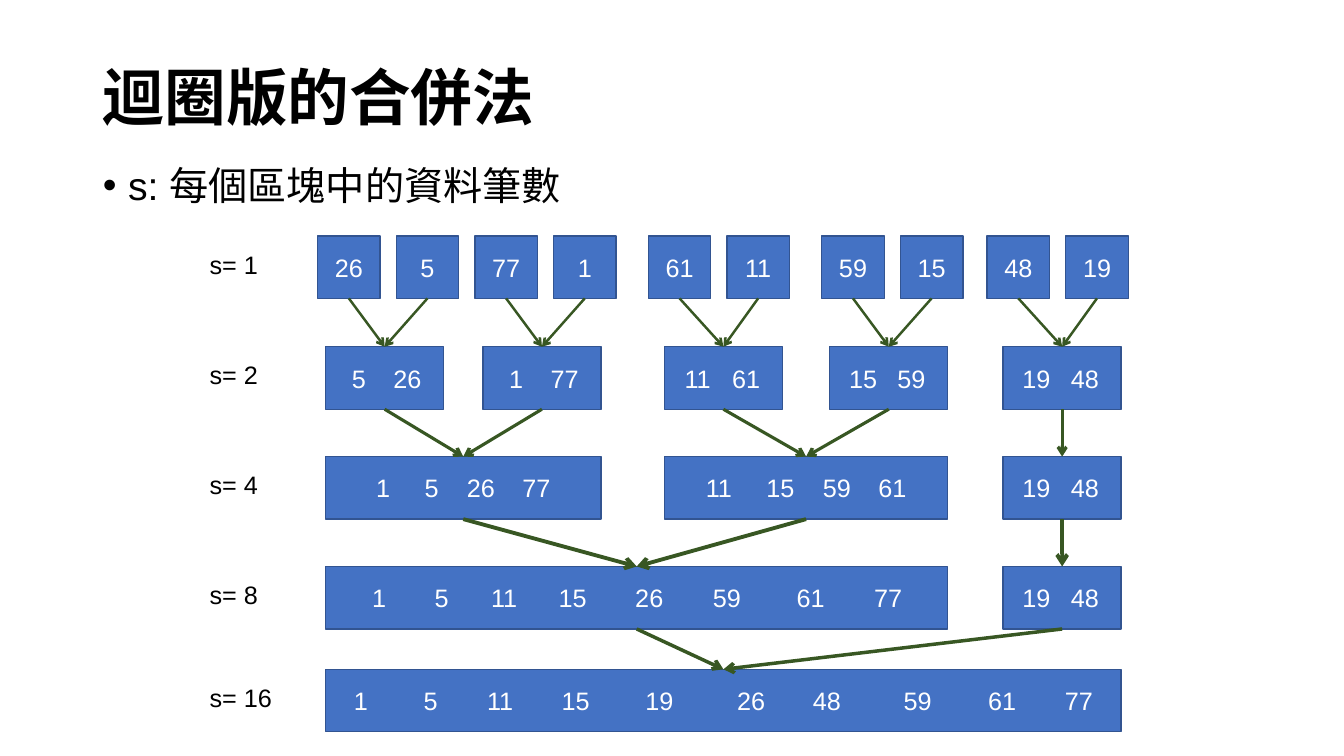
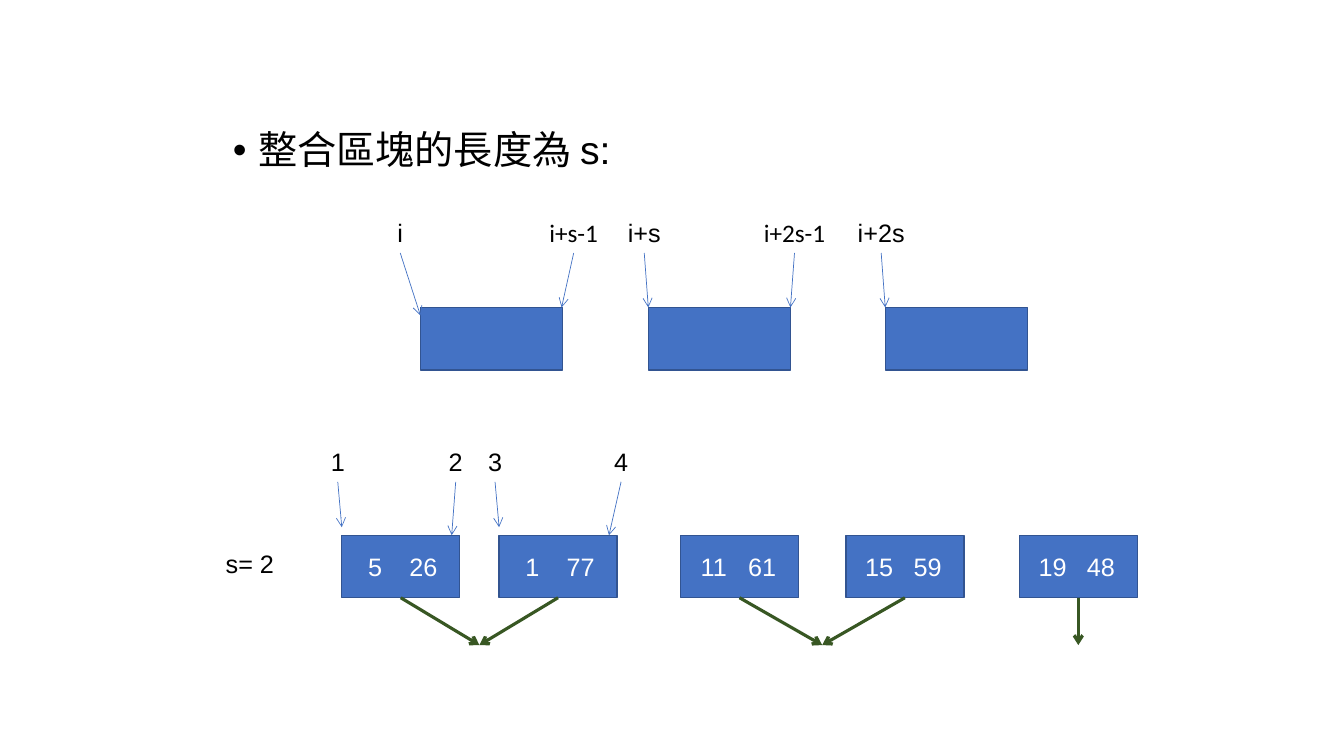
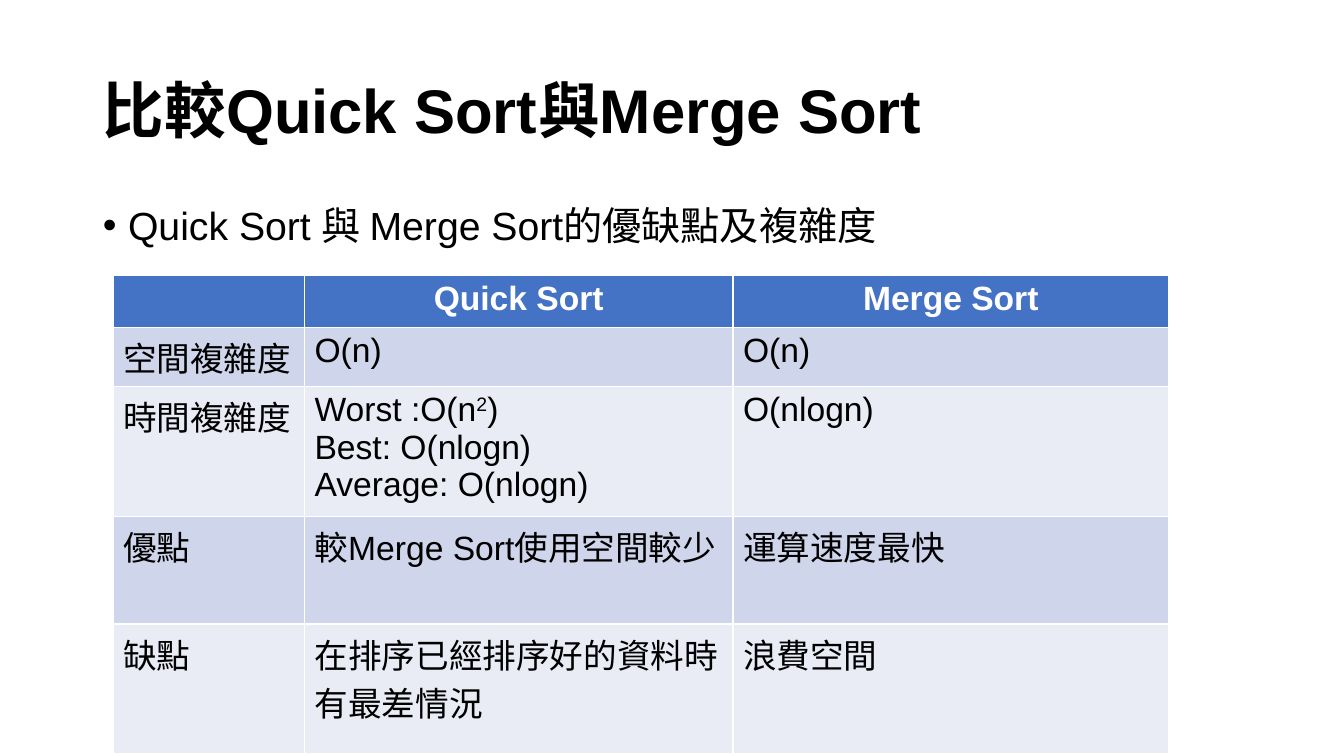
from dataclasses import dataclass

from lxml.etree import SubElement
from pptx import Presentation
from pptx.dml.color import RGBColor
from pptx.enum.shapes import MSO_CONNECTOR, MSO_SHAPE
from pptx.enum.text import MSO_ANCHOR, MSO_AUTO_SIZE, PP_ALIGN
from pptx.oxml.ns import qn
from pptx.util import Inches, Pt


@dataclass(frozen=True)
class Theme:
    block: str = "4472C4"
    block_edge: str = "325491"
    merge_arrow: str = "385723"
    band_dark: str = "CFD5EA"
    band_light: str = "E9EBF5"
    ink: str = "000000"
    paper: str = "FFFFFF"
    font: str = "Arial"
    narrow_font: str = "Calibri"
    title_size: float = 44
    body_size: float = 28
    table_size: float = 24
    label_size: float = 18


THEME = Theme()
SLIDE_WIDTH, SLIDE_HEIGHT = 13.33, 7.5
MARGIN, CONTENT_WIDTH = 0.92, 11.5
BLOCK_HEIGHT, LABEL_HEIGHT = 0.62, 0.4
UNIT, PAIR = 0.62, 1.17
UNIT_STEP = 0.78
LABEL_LEFT, LABEL_DROP = 1.98, 0.08
PAIR_CENTRES = (0.33, 0.81)

LOOP_TITLE = "迴圈版的合併法"
LOOP_BODY = "s: 每個區塊中的資料筆數"
UNIT_GROUPS = [
    (3.15, ["26", "5", "77", "1"]),
    (6.43, ["61", "11"]),
    (8.15, ["59", "15"]),
    (9.79, ["48", "19"]),
]
UNITS = [
    (left + index * UNIT_STEP, UNIT, [number], (), ())
    for left, numbers in UNIT_GROUPS
    for index, number in enumerate(numbers)
]
LAST_PAIR = (9.95, PAIR, ["19", "48"], PAIR_CENTRES)
PAIRS = [
    (3.23, PAIR, ["5", "26"], PAIR_CENTRES, (0, 1)),
    (4.79, PAIR, ["1", "77"], PAIR_CENTRES, (2, 3)),
    (6.59, PAIR, ["11", "61"], PAIR_CENTRES, (4, 5)),
    (8.23, PAIR, ["15", "59"], PAIR_CENTRES, (6, 7)),
    (*LAST_PAIR, (8, 9)),
]
FOURS = [
    (3.23, 2.73, ["1", "5", "26", "77"], (0.57, 1.05, 1.54, 2.09), (0, 1)),
    (6.59, 2.81, ["11", "15", "59", "61"], (0.54, 1.15, 1.71, 2.26), (2, 3)),
    (*LAST_PAIR, (4,)),
]
EIGHTS = [
    (3.23, 6.17, ["1", "5", "11", "15", "26", "59", "61", "77"],
     (0.53, 1.15, 1.77, 2.45, 3.21, 3.98, 4.81, 5.58), (0, 1)),
    (*LAST_PAIR, (2,)),
]
SORTED = [
    (3.23, 7.89, ["1", "5", "11", "15", "19", "26", "48", "59", "61", "77"],
     (0.35, 1.04, 1.73, 2.48, 3.31, 4.22, 4.97, 5.87, 6.71, 7.47), (0, 1)),
]
LEVELS = [
    ("s= 1", 0.78, 2.34, UNITS, 0),
    ("s= 2", 0.78, 3.44, PAIRS, 1.75),
    ("s= 4", 0.78, 4.53, FOURS, 2.25),
    ("s= 8", 0.78, 5.62, EIGHTS, 2.75),
    ("s= 16", 0.86, 6.64, SORTED, 2.5),
]

RANGE_BODY = "整合區塊的長度為 s:"
RANGE_LEFTS, RANGE_WIDTH, RANGE_TOP = (4.17, 6.43, 8.78), 1.41, 3.05
PAIR_TOP, PAIR_SHIFT, MERGE_GAP = 5.31, 0.16, 0.47
POINTERS = [
    (2.11, [
        ("i", 3.97, 0.55, THEME.font, 4.17, 3.13),
        ("i+s-1", 5.69, 1.02, THEME.narrow_font, 5.57, 3.05),
        ("i+s", 6.39, 0.7, THEME.font, 6.43, 3.05),
        ("i+2s-1", 7.88, 1.02, THEME.narrow_font, 7.84, 3.05),
        ("i+2s", 8.74, 1.02, THEME.font, 8.78, 3.05),
    ]),
    (4.38, [
        ("1", 3.35, 0.55, THEME.font, 3.39, 5.23),
        ("2", 4.52, 0.55, THEME.font, 4.48, 5.31),
        ("3", 4.91, 0.55, THEME.font, 4.95, 5.23),
        ("4", 6.16, 0.55, THEME.font, 6.04, 5.31),
    ]),
]

COMPARE_TITLE = "比較Quick Sort與Merge Sort"
COMPARE_BODY = "Quick Sort 與 Merge Sort的優缺點及複雜度"
COMPARE_ROWS = [
    ("", "Quick Sort", "Merge Sort"),
    ("空間複雜度", "O(n)", "O(n)"),
    ("時間複雜度", "Worst :O(n^2^)\nBest: O(nlogn)\nAverage: O(nlogn)", "O(nlogn)"),
    ("優點", "較Merge Sort使用空間較少", "運算速度最快"),
    ("缺點", "在排序已經排序好的資料時有最差情況", "浪費空間"),
]
COLUMN_WIDTHS = (1.9, 4.25, 4.32)
ROW_HEIGHTS = (0.52, 0.55, 1.29, 0.52, 1.29)


def color(value):
    return RGBColor.from_string(value)


def apply(target, values):
    for name, value in values.items():
        setattr(target, name, value)


def box(left, top, width, height):
    return [Inches(length) for length in (left, top, width, height)]


def write(paragraph, text, size, ink=THEME.ink, font=THEME.font, bold=False):
    for index, part in enumerate(text.split("^")):
        run = paragraph.add_run()
        run.text = part
        apply(run.font, {"name": font, "size": Pt(size), "bold": bold})
        run.font.color.rgb = color(ink)
        if index % 2:
            run.font._element.set("baseline", "30000")


def fill_placeholder(shape, place, text, size, is_title):
    names = ("left", "top", "width", "height")
    apply(shape, dict(zip(names, box(*place))))
    frame = shape.text_frame
    apply(frame, {
        "auto_size": MSO_AUTO_SIZE.NONE,
        "word_wrap": True,
        "vertical_anchor": MSO_ANCHOR.MIDDLE if is_title else MSO_ANCHOR.TOP,
    })
    paragraph = frame.paragraphs[0]
    apply(paragraph, {
        "alignment": PP_ALIGN.LEFT,
        "line_spacing": 0.9,
        "space_before": Pt(0 if is_title else 10),
    })
    if not is_title:
        properties = paragraph._p.get_or_add_pPr()
        properties.set("marL", str(Inches(0.25)))
        properties.set("indent", str(-Inches(0.25)))
        SubElement(properties, qn("a:buFont")).set("typeface", THEME.font)
        SubElement(properties, qn("a:buChar")).set("char", "•")
    write(paragraph, text, size, bold=is_title)


def add_content_slide(presentation, body, body_place, title=None, title_height=0):
    slide = presentation.slides.add_slide(presentation.slide_layouts[1])
    title_shape, body_shape = slide.placeholders
    if title:
        place = (MARGIN, 0.4, CONTENT_WIDTH, title_height)
        fill_placeholder(title_shape, place, title, THEME.title_size, True)
    else:
        title_shape._element.getparent().remove(title_shape._element)
    fill_placeholder(body_shape, body_place, body, THEME.body_size, False)
    return slide


def add_label(slide, text, left, top, width, font=THEME.font, alignment=PP_ALIGN.LEFT):
    shape = slide.shapes.add_textbox(*box(left, top, width, LABEL_HEIGHT))
    shape.text_frame.word_wrap = True
    paragraph = shape.text_frame.paragraphs[0]
    paragraph.alignment = alignment
    write(paragraph, text, THEME.label_size, font=font)


def add_block(slide, left, top, width, numbers=(), centres=()):
    shape = slide.shapes.add_shape(
        MSO_SHAPE.RECTANGLE, *box(left, top, width, BLOCK_HEIGHT))
    shape.shadow.inherit = False
    shape.fill.solid()
    shape.fill.fore_color.rgb = color(THEME.block)
    shape.line.color.rgb = color(THEME.block_edge)
    shape.line.width = Pt(1)
    if not numbers:
        return
    frame = shape.text_frame
    apply(frame, {
        "margin_left": 0, "margin_right": 0, "word_wrap": True,
        "vertical_anchor": MSO_ANCHOR.MIDDLE,
    })
    paragraph = frame.paragraphs[0]
    paragraph.alignment = PP_ALIGN.LEFT if centres else PP_ALIGN.CENTER
    if centres:
        stops = SubElement(paragraph._p.get_or_add_pPr(), qn("a:tabLst"))
        for centre in centres:
            stop = SubElement(stops, qn("a:tab"))
            stop.set("pos", str(Inches(centre)))
            stop.set("algn", "ctr")
    lead = "\t" if centres else ""
    write(paragraph, lead + "\t".join(numbers), THEME.label_size, THEME.paper)


def add_arrow(slide, start, end, ink, width):
    points = [Inches(length) for length in (*start, *end)]
    connector = slide.shapes.add_connector(MSO_CONNECTOR.STRAIGHT, *points)
    connector.line.color.rgb = color(ink)
    connector.line.width = Pt(width)
    properties = connector._element.spPr
    SubElement(properties.find(qn("a:ln")), qn("a:tailEnd")).set("type", "arrow")
    SubElement(properties, qn("a:effectLst"))


def add_merges(slide, children, parents, bottom, top, width, shift=0):
    for left, span, _, _, sources in parents:
        for source in sources:
            child_left, child_span = children[source][:2]
            start = (child_left + child_span / 2 + shift, bottom)
            end = (left + span / 2 + shift, top)
            add_arrow(slide, start, end, THEME.merge_arrow, width)


def add_level(slide, label, label_width, top, blocks, shift=0):
    for left, width, numbers, centres, _ in blocks:
        add_block(slide, left + shift, top, width, numbers, centres)
    add_label(slide, label, LABEL_LEFT + shift, top + LABEL_DROP, label_width)


def build_loop_slide(presentation):
    slide = add_content_slide(
        presentation, LOOP_BODY, (MARGIN, 1.6, CONTENT_WIDTH, 5.16), LOOP_TITLE, 1.2)
    for label, label_width, top, blocks, _ in LEVELS:
        add_level(slide, label, label_width, top, blocks)
    for upper, lower in zip(LEVELS, LEVELS[1:]):
        bottom = upper[2] + BLOCK_HEIGHT
        add_merges(slide, upper[3], lower[3], bottom, lower[2], lower[4])


def build_range_slide(presentation):
    slide = add_content_slide(presentation, RANGE_BODY, (2.21, 1.25, 8.2, 5.25))
    add_level(slide, "s= 2", 0.78, PAIR_TOP, PAIRS, PAIR_SHIFT)
    bottom = PAIR_TOP + BLOCK_HEIGHT
    add_merges(slide, PAIRS, FOURS, bottom, bottom + MERGE_GAP, 2.25, PAIR_SHIFT)
    for left in RANGE_LEFTS:
        add_block(slide, left, RANGE_TOP, RANGE_WIDTH)
    for top, pointers in POINTERS:
        for text, centre, width, font, *target in pointers:
            add_label(slide, text, centre - width / 2, top, width, font, PP_ALIGN.CENTER)
            start = (centre, top + LABEL_HEIGHT)
            add_arrow(slide, start, target, THEME.block, 0.5)


def build_compare_slide(presentation):
    slide = add_content_slide(
        presentation, COMPARE_BODY, (MARGIN, 2, CONTENT_WIDTH, 4.76), COMPARE_TITLE, 1.45)
    place = box(1.12, 2.73, sum(COLUMN_WIDTHS), sum(ROW_HEIGHTS))
    table = slide.shapes.add_table(len(COMPARE_ROWS), len(COLUMN_WIDTHS), *place).table
    for column, width in zip(table.columns, COLUMN_WIDTHS):
        column.width = Inches(width)
    for row_index, (row, height) in enumerate(zip(table.rows, ROW_HEIGHTS)):
        row.height = Inches(height)
        is_header = row_index == 0
        band = THEME.band_dark if row_index % 2 else THEME.band_light
        for cell, text in zip(row.cells, COMPARE_ROWS[row_index]):
            cell.fill.solid()
            cell.fill.fore_color.rgb = color(THEME.block if is_header else band)
            for line_index, line in enumerate(text.split("\n")):
                frame = cell.text_frame
                paragraph = frame.add_paragraph() if line_index else frame.paragraphs[0]
                paragraph.alignment = PP_ALIGN.CENTER if is_header else PP_ALIGN.LEFT
                ink = THEME.paper if is_header else THEME.ink
                write(paragraph, line, THEME.table_size, ink, bold=is_header)


presentation = Presentation()
presentation.slide_width = Inches(SLIDE_WIDTH)
presentation.slide_height = Inches(SLIDE_HEIGHT)
for build_slide in (build_loop_slide, build_range_slide, build_compare_slide):
    build_slide(presentation)
presentation.save("out.pptx")
